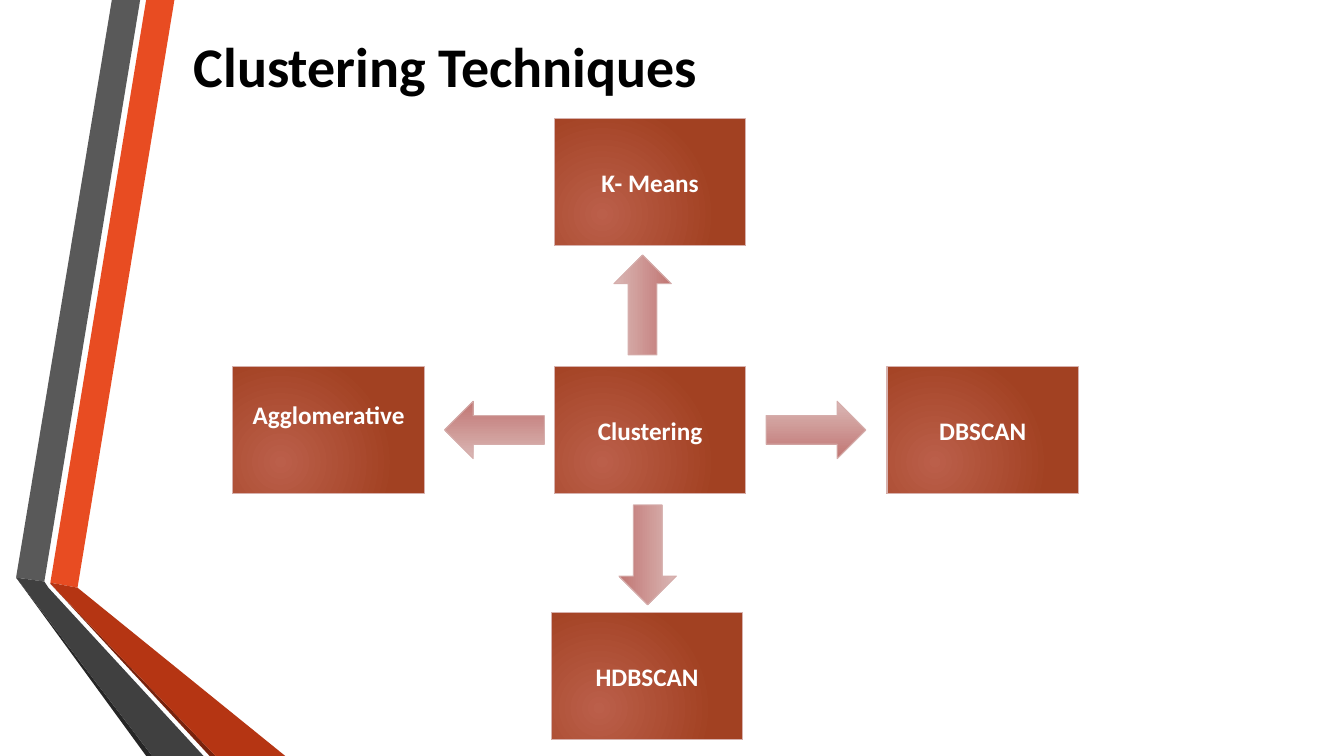
from lxml import etree
from pptx import Presentation
from pptx.dml.color import RGBColor
from pptx.enum.shapes import MSO_SHAPE
from pptx.enum.text import MSO_ANCHOR, PP_ALIGN
from pptx.oxml.ns import qn
from pptx.util import Pt

RECTANGLE = MSO_SHAPE.RECTANGLE
ARROW = MSO_SHAPE.RIGHT_ARROW
CENTER = PP_ALIGN.CENTER
MIDDLE = MSO_ANCHOR.MIDDLE
FONT = "Calibri"

COLORS = {
    "black": "000000", "white": "FFFFFF",
    "orange": "E84C22", "rust": "B53513", "rust_edge": "78230D",
    "grey": "595959", "charcoal": "404040", "charcoal_edge": "262626",
    "box_light": "BB5F4A", "box_dark": "A24122", "box_line": "D7B1AD",
    "arrow_light": "DAB7B5", "arrow_dark": "C17673", "arrow_line": "D5ADAB",
}

RIBBONS = [
    ("orange", [(36, 416.2), (55.4, 419.8), (124.6, 0), (104.4, 0)]),
    ("grey", [(100.1, 0), (79.9, 0), (11.5, 412.6), (31.7, 415.4)]),
    ("charcoal_edge", [(11.5, 412.6), (104.4, 540), (108.7, 540)]),
    ("rust_edge", [(36, 416.9), (149.8, 540), (154.1, 540)]),
    ("rust", [(36, 416.9), (154.1, 540), (203.8, 540), (55.4, 419.8), (36, 416.2)]),
    ("charcoal", [(145.4, 540), (34.6, 419.8), (31.7, 415.4), (11.5, 412.6), (108.7, 540)]),
]

BOX_SIZE = (136.8, 90.7)
BOXES = [  # label, left, top, bottom inset
    ("Clustering", 396, 262, 3.6),
    ("K- Means", 396, 85, 3.6),
    ("Agglomerative", 166.3, 262, 25.6),
    ("HDBSCAN", 393.8, 437.8, 3.6),
    ("DBSCAN", 633.6, 262, 3.6),
]

ARROW_SIZE = (71.3, 41)
ARROWS = [  # left, top, rotation
    (547.2, 286.6, 0),
    (317.5, 286.6, 180),
    (427, 375.8, 90),
    (423.4, 197.3, 270),
]


def rgb(name):
    return RGBColor.from_string(COLORS[name])


def write_text(shape, text, size, color, bottom_inset=3.6):
    frame = shape.text_frame
    frame.word_wrap = True
    frame.vertical_anchor = MIDDLE
    frame.margin_bottom = Pt(bottom_inset)
    para = frame.paragraphs[0]
    para.alignment = CENTER
    span = para.add_run()
    span.text = text
    span.font.name = FONT
    span.font.size = Pt(size)
    span.font.bold = True
    span.font.color.rgb = rgb(color)


def add_ribbon(page, color, points):
    corners = [(Pt(x), Pt(y)) for x, y in points]
    builder = page.shapes.build_freeform(*corners[0])
    builder.add_line_segments(corners[1:], close=True)
    ribbon = builder.convert_to_shape()
    ribbon.shadow.inherit = False
    ribbon.fill.solid()
    ribbon.fill.fore_color.rgb = rgb(color)
    ribbon.line.fill.background()


def add_gradient_shape(page, kind, left, top, size, role):
    """Add a shape shaded top to bottom in the colours of its role."""
    shape = page.shapes.add_shape(kind, Pt(left), Pt(top), *map(Pt, size))
    shape.shadow.inherit = False
    shape.fill.gradient()
    shape.fill.gradient_angle = 270
    for stop, position, tone in zip(shape.fill.gradient_stops, (0, 1), ("light", "dark")):
        stop.position = position
        stop.color.rgb = rgb(f"{role}_{tone}")
    shape.line.color.rgb = rgb(f"{role}_line")
    shape.line.width = Pt(0.75)
    return shape


def make_radial(shape):
    """Turn the linear gradient into a glow from the lower left."""
    gradient = shape.fill._xPr.find(qn("a:gradFill"))
    gradient.remove(gradient.find(qn("a:lin")))
    circle = etree.SubElement(gradient, qn("a:path"), {"path": "circle"})
    etree.SubElement(circle, qn("a:fillToRect"),
                     {"l": "50000", "t": "100000", "r": "100000", "b": "50000"})


def add_box(page, label, left, top, bottom_inset):
    box = add_gradient_shape(page, RECTANGLE, left, top, BOX_SIZE, "box")
    make_radial(box)
    write_text(box, label, 18, "white", bottom_inset)


def add_arrow(page, left, top, rotation):
    arrow = add_gradient_shape(page, ARROW, left, top, ARROW_SIZE, "arrow")
    arrow.rotation = rotation


def add_title(page, text):
    title = page.shapes.title
    title.left, title.top, title.width, title.height = map(Pt, (-76.3, 1.4, 789.1, 90.7))
    write_text(title, text, 40, "black")


def main():
    deck = Presentation()
    deck.slide_width, deck.slide_height = Pt(960), Pt(540)
    page = deck.slides.add_slide(deck.slide_layouts[5])
    for ribbon in RIBBONS:
        add_ribbon(page, *ribbon)
    add_title(page, "Clustering Techniques")
    for box in BOXES:
        add_box(page, *box)
    for arrow in ARROWS:
        add_arrow(page, *arrow)
    deck.save("out.pptx")


if __name__ == "__main__":
    main()
